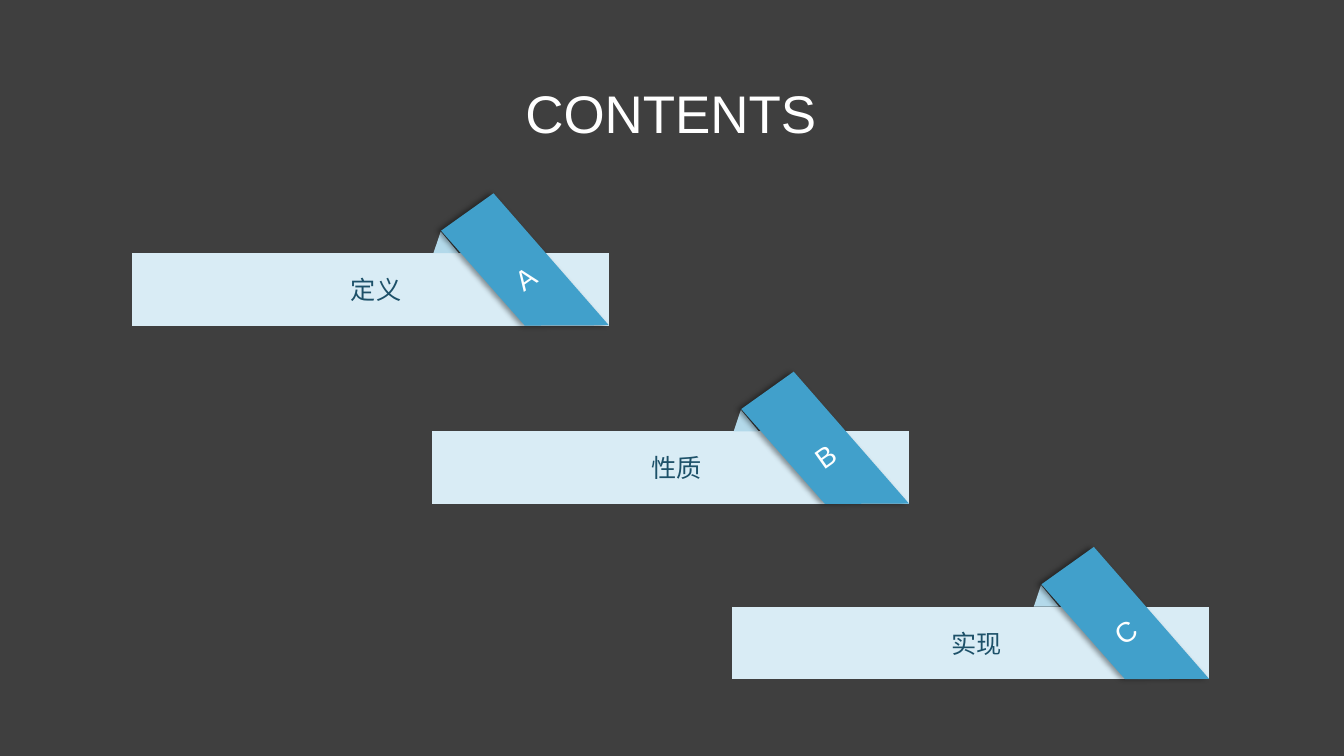
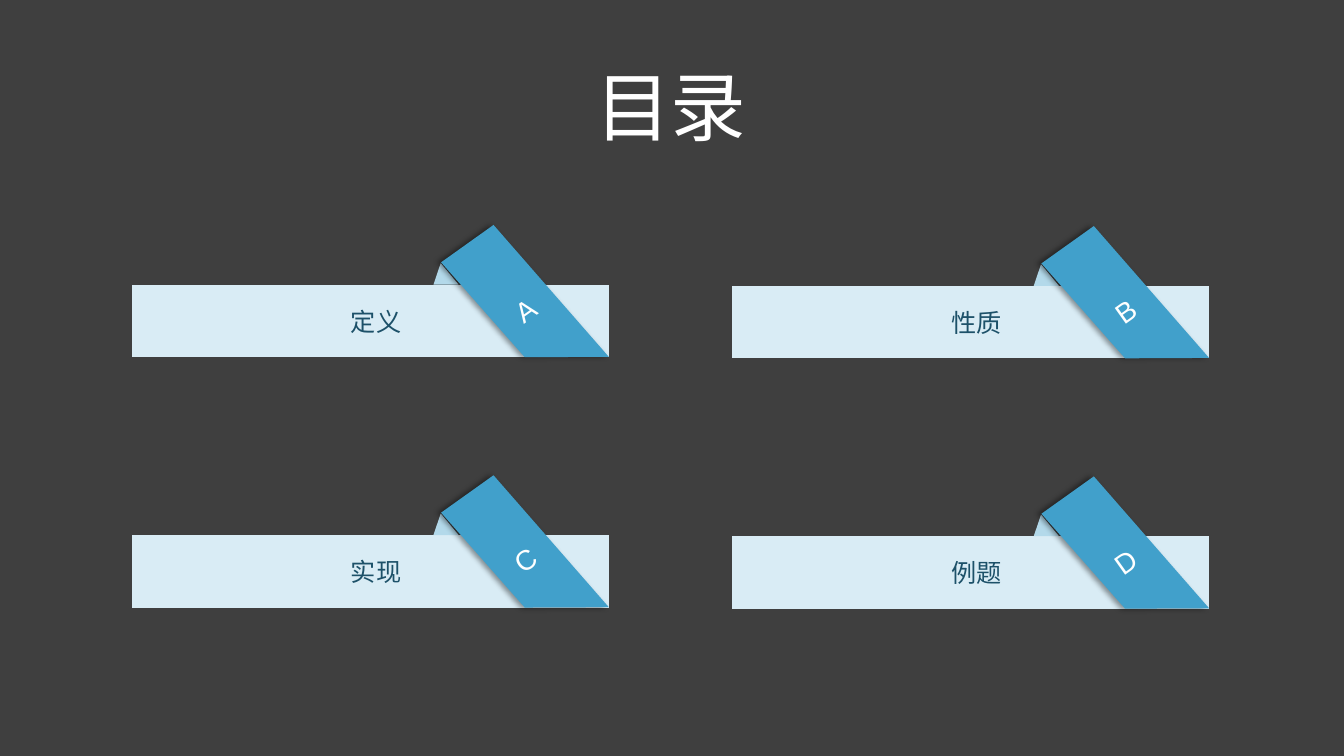
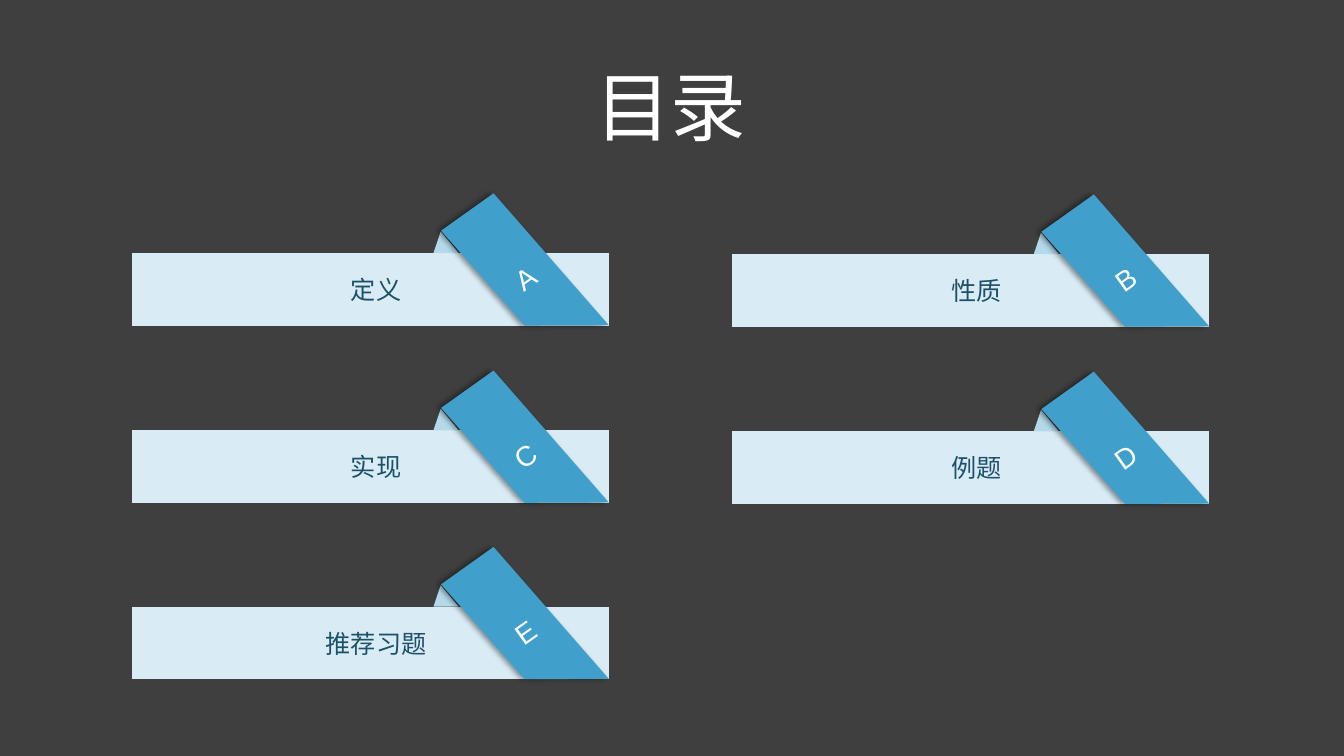
from lxml import etree
from pptx import Presentation
from pptx.dml.color import RGBColor
from pptx.enum.text import MSO_ANCHOR as Anchor, PP_ALIGN as Align
from pptx.oxml import parse_xml
from pptx.oxml.ns import nsdecls
from pptx.util import Pt

DARK, PALE, FOLD, BLUE, INK = "3F3F3F", "D9ECF5", "B3D9EA", "41A0CB", "1D5169"
WHITE, SOFT = "FFFFFF", "FEFFFF"
WIDE, HIGH = 960, 540
LEFT, STEP = 94.4, 214.4
BAR = [(0, 0), (340.4, 0), (340.4, 51.8), (0, 51.8)]
FLAP = [(215.2, 0), (220.4, -15.4), (233.2, 0)]
BAND = [(251.4, -44.5), (297.4, -44.5), (309.7, 80), (260.7, 45.4)]
SHADE = (
    f'<a:outerShdw {nsdecls("a")} blurRad="{Pt(4)}" dist="{Pt(3)}" '
    'dir="10800000" algn="r" rotWithShape="0"><a:srgbClr val="000000">'
    '<a:alpha val="40000"/></a:srgbClr></a:outerShdw>'
)


def write(shape, text, size=18, color=INK, pad=(7.2, 3.6, 7.2, 3.6)):
    frame = shape.text_frame
    frame.word_wrap = True
    frame.vertical_anchor = Anchor.MIDDLE
    frame.margin_left, frame.margin_top, frame.margin_right, frame.margin_bottom = map(Pt, pad)
    line = frame.paragraphs[0]
    line.alignment = Align.CENTER
    run = line.add_run()
    run.text = text
    run.font.name = "Arial"
    run.font.size = Pt(size)
    run.font.color.rgb = RGBColor.from_string(color)


def draw(group, points, x, y, color):
    spots = [(Pt(x + dx), Pt(y + dy)) for dx, dy in points]
    pen = group.shapes.build_freeform(*spots[0])
    pen.add_line_segments(spots[1:], close=True)
    shape = pen.convert_to_shape()
    shape.fill.solid()
    shape.fill.fore_color.rgb = RGBColor.from_string(color)
    shape.line.fill.background()
    shape.shadow.inherit = False
    return shape


pages = [
    ("CONTENTS", 37.8, (232.6, 101.6),
     [("定义", 0, 180.8), ("性质", 1, 308.2), ("实现", 2, 433.4)]),
    ("目录", 54, (220.4, 90.8),
     [("定义", 0, 203.4), ("性质", 2, 204.2),
      ("实现", 0, 382.2), ("例题", 2, 383)]),
    ("目录", 54, (220.4, 90.8),
     [("定义", 0, 180.8), ("性质", 2, 181.6),
      ("实现", 0, 307.4), ("例题", 2, 308.2),
      ("推荐习题", 0, 433.4)]),
]

deck = Presentation()
deck.slide_width, deck.slide_height = Pt(WIDE), Pt(HIGH)

for title, size, (wide, high), items in pages:
    slide = deck.slides.add_slide(deck.slide_layouts[6])
    slide.background.fill.solid()
    slide.background.fill.fore_color.rgb = RGBColor.from_string(DARK)
    box = slide.shapes.add_textbox(Pt((WIDE - wide) / 2 - 0.8), Pt(29.5), Pt(wide), Pt(high))
    write(box, title, size=size, color=WHITE)

    for letter, (label, col, top) in zip("ABCDE", items):
        left = LEFT + col * STEP
        group = slide.shapes.add_group_shape()
        bar = draw(group, BAR, left, top, PALE)
        write(bar, label, pad=(15.1, 3.6, 7.2, 3.6))
        draw(group, FLAP, left, top, FOLD)
        band = draw(group, BAND, left, top, BLUE)
        band.rotation = 324.5
        band._element.spPr.find("{*}effectLst").append(parse_xml(SHADE))
        write(band, letter, size=20, color=SOFT)

deck.save("out.pptx")
